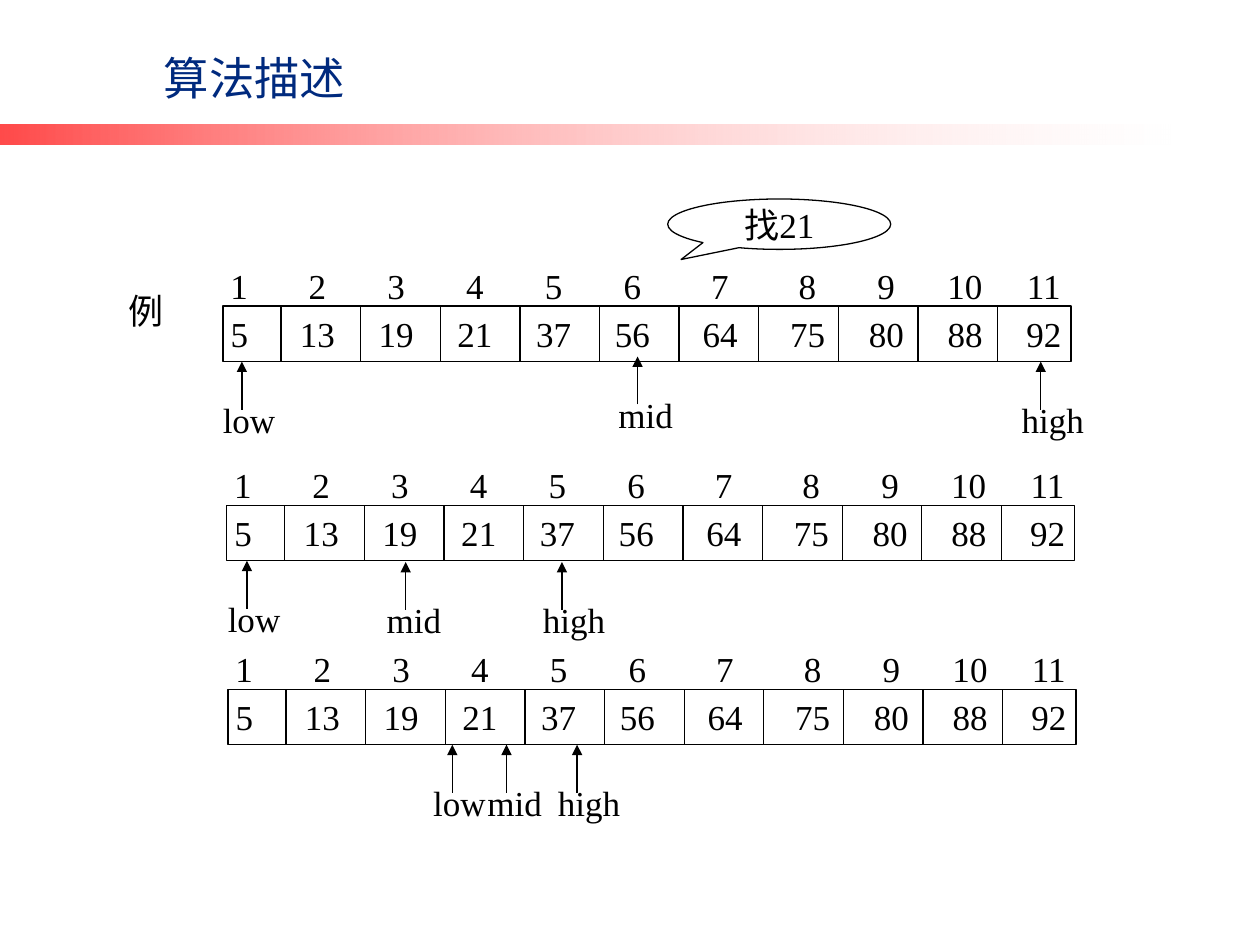
from dataclasses import dataclass
from itertools import accumulate

from lxml import etree
from pptx import Presentation
from pptx.dml.color import RGBColor
from pptx.enum import shapes, text
from pptx.oxml.ns import qn
from pptx.util import Inches, Pt


@dataclass(frozen=True)
class Theme:
    font: str = "Times New Roman"
    black: RGBColor = RGBColor(0, 0, 0)
    navy: RGBColor = RGBColor(0x00, 0x2A, 0x7E)
    white: RGBColor = RGBColor(255, 255, 255)
    red: RGBColor = RGBColor(255, 0, 0)
    title: float = 25.9
    body: float = 20
    line: float = 0.75


THEME = Theme()
KEYS = [5, 13, 19, 21, 37, 56, 64, 75, 80, 88, 92]
ROW_W, ROW_H = 6.73, 0.44
# Centres of columns 2 to 11, measured from the start of the text
STOPS = list(accumulate([0.69] + [0.625] * 4 + [0.695] * 2 + [0.625] * 3))
# Label widths leave a little room so that each word stays on one line
WIDTHS = {"low": 0.63, "mid": 0.65, "high": 0.71}
# Each step: left and top of the row, then name, x and lift of each pointer
STEPS = [
    (1.77, 2.43, [("low", 1.92, 0), ("high", 8.26, 0), ("mid", 5.06, 0.04)]),
    (1.8, 4.01, [("low", 1.96, 0), ("high", 4.46, -0.01), ("mid", 3.22, -0.01)]),
    (1.81, 5.47, [("low", 3.59, 0), ("high", 4.58, 0), ("mid", 4.02, 0)]),
]


def style(para, size=THEME.body, color=THEME.black):
    para.font.name = THEME.font
    para.font.size = Pt(size)
    para.font.color.rgb = color


def add_tabs(para):
    tabs = etree.SubElement(para._p.get_or_add_pPr(), qn("a:tabLst"))
    for stop in STOPS:
        etree.SubElement(tabs, qn("a:tab"), pos=str(Inches(stop)), algn="ctr")


def add_text(slide, words, x, y, w, h=ROW_H):
    box = slide.shapes.add_textbox(Inches(x), Inches(y), Inches(w), Inches(h))
    frame = box.text_frame
    frame.word_wrap = False
    frame.auto_size = text.MSO_AUTO_SIZE.SHAPE_TO_FIT_TEXT
    frame.text = words
    style(frame.paragraphs[0])
    return frame


def add_form(slide, kind, x, y, w, h):
    form = slide.shapes.add_shape(kind, Inches(x), Inches(y), Inches(w), Inches(h))
    form.shadow.inherit = False
    form.fill.background()
    form.line.color.rgb = THEME.black
    form.line.width = Pt(THEME.line)
    form.text_frame.vertical_anchor = text.MSO_ANCHOR.MIDDLE
    return form


def add_line(slide, x, start, end, arrow=False):
    line = slide.shapes.add_connector(
        shapes.MSO_CONNECTOR.STRAIGHT, Inches(x), Inches(start), Inches(x), Inches(end))
    line.line.color.rgb = THEME.black
    line.line.width = Pt(THEME.line)
    if arrow:
        etree.SubElement(line.line._get_or_add_ln(), qn("a:tailEnd"), type="triangle")
    etree.SubElement(line._element.spPr, qn("a:effectLst"))


def fill_cells(frame, items, inset):
    """Spread the items over the columns with centred tabs."""
    frame.word_wrap = True
    frame.margin_left, frame.margin_right = Inches(inset), 0
    frame.text = "\t".join(map(str, items))
    para = frame.paragraphs[0]
    para.alignment = text.PP_ALIGN.LEFT
    add_tabs(para)
    style(para)


def add_band(slide):
    band = add_form(slide, shapes.MSO_SHAPE.RECTANGLE, 0, 0.99, 9.29, 0.16)
    band.line.fill.background()
    band.fill.gradient()
    band.fill.gradient_angle = 180
    stops = band.fill.gradient_stops
    for stop, place, color in zip(stops, (0, 1), (THEME.white, THEME.red)):
        stop.position = place
        stop.color.rgb = color
    for node, alpha in zip(band._element.spPr.iter(qn("a:srgbClr")), (18, 71)):
        etree.SubElement(node, qn("a:alpha"), val=str(alpha * 1000))


def add_title(slide):
    frame = add_text(slide, "算法描述", 0.7, 0.43, 9.3, 0.45)
    frame.auto_size = text.MSO_AUTO_SIZE.NONE
    frame.word_wrap = True
    frame.margin_left = Inches(0.6)
    para = frame.paragraphs[0]
    para.line_spacing = 0.8
    style(para, THEME.title, THEME.navy)


def add_bubble(slide):
    bubble = add_form(slide, shapes.MSO_SHAPE.OVAL_CALLOUT, 5.3, 1.58, 1.77, 0.4)
    bubble.adjustments[0], bubble.adjustments[1] = -0.44, 0.7
    frame = bubble.text_frame
    frame.word_wrap = False
    frame.text = "找21"
    frame.paragraphs[0].alignment = text.PP_ALIGN.CENTER
    style(frame.paragraphs[0])


def add_row(slide, x, y):
    # Column numbers above the row
    frame = add_text(slide, "", x - 0.04, y - 0.38, 6.81)
    fill_cells(frame, range(1, len(KEYS) + 1), 0.1)
    # Sorted keys and the lines between them
    row = add_form(slide, shapes.MSO_SHAPE.RECTANGLE, x, y, ROW_W, ROW_H)
    fill_cells(row.text_frame, KEYS, 0.06)
    for i in range(len(KEYS) - 1):
        add_line(slide, x + 0.46 + 0.632 * i, y, y + ROW_H)


def add_mark(slide, name, x, tip):
    tail = tip + 0.38
    add_line(slide, x, tail, tip, arrow=True)
    add_text(slide, name, x - 0.25, tail - 0.14, WIDTHS[name])


def main():
    deck = Presentation()
    deck.slide_width, deck.slide_height = Inches(10), Inches(7.5)
    slide = deck.slides.add_slide(deck.slide_layouts[6])

    # Heading
    add_band(slide)
    add_title(slide)

    # Example and its search steps
    add_text(slide, "例", 0.92, 2.25, 0.54)
    add_bubble(slide)
    for x, y, marks in STEPS:
        add_row(slide, x, y)
        for name, at, lift in marks:
            add_mark(slide, name, at, y + ROW_H - lift)

    deck.save("out.pptx")


if __name__ == "__main__":
    main()
